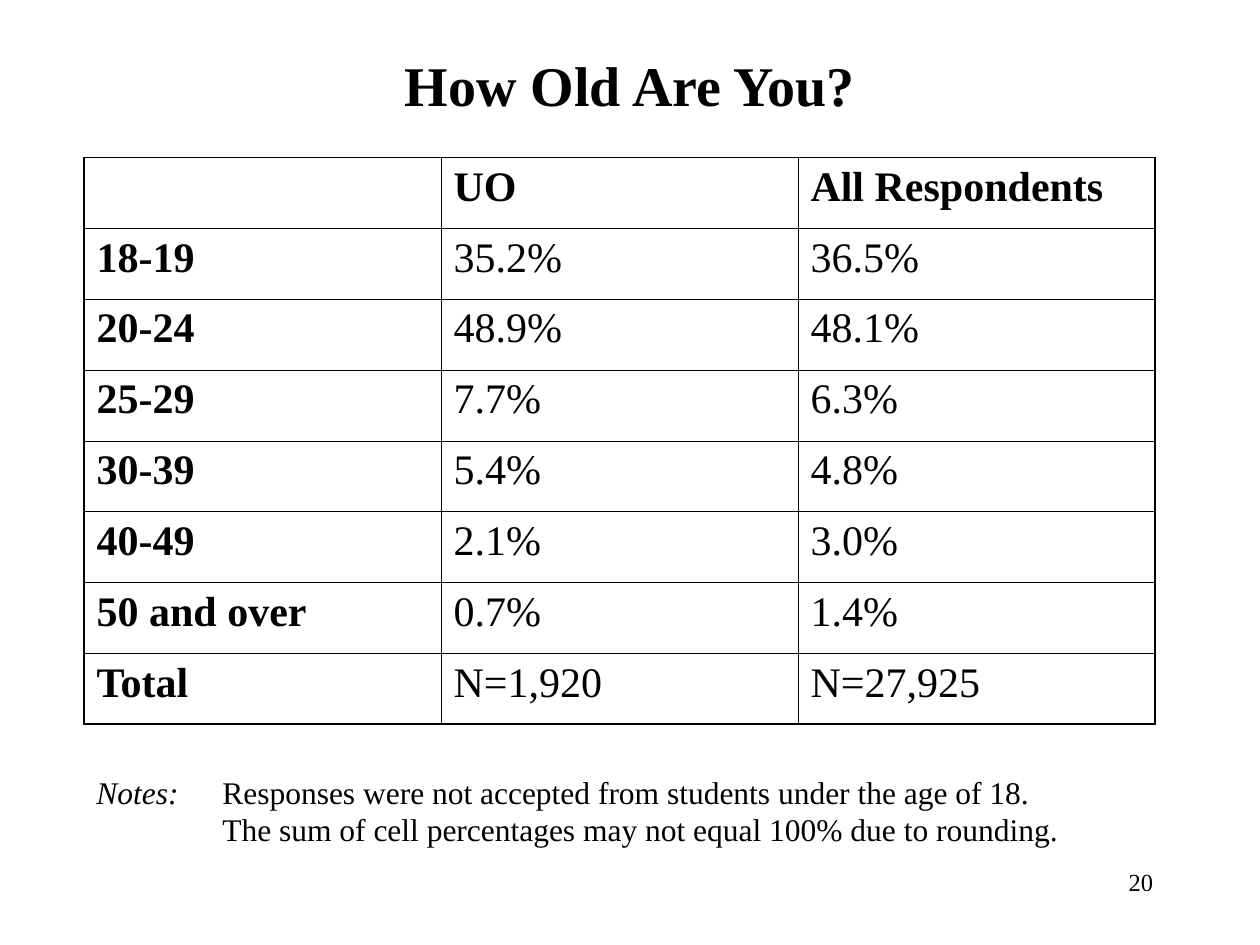
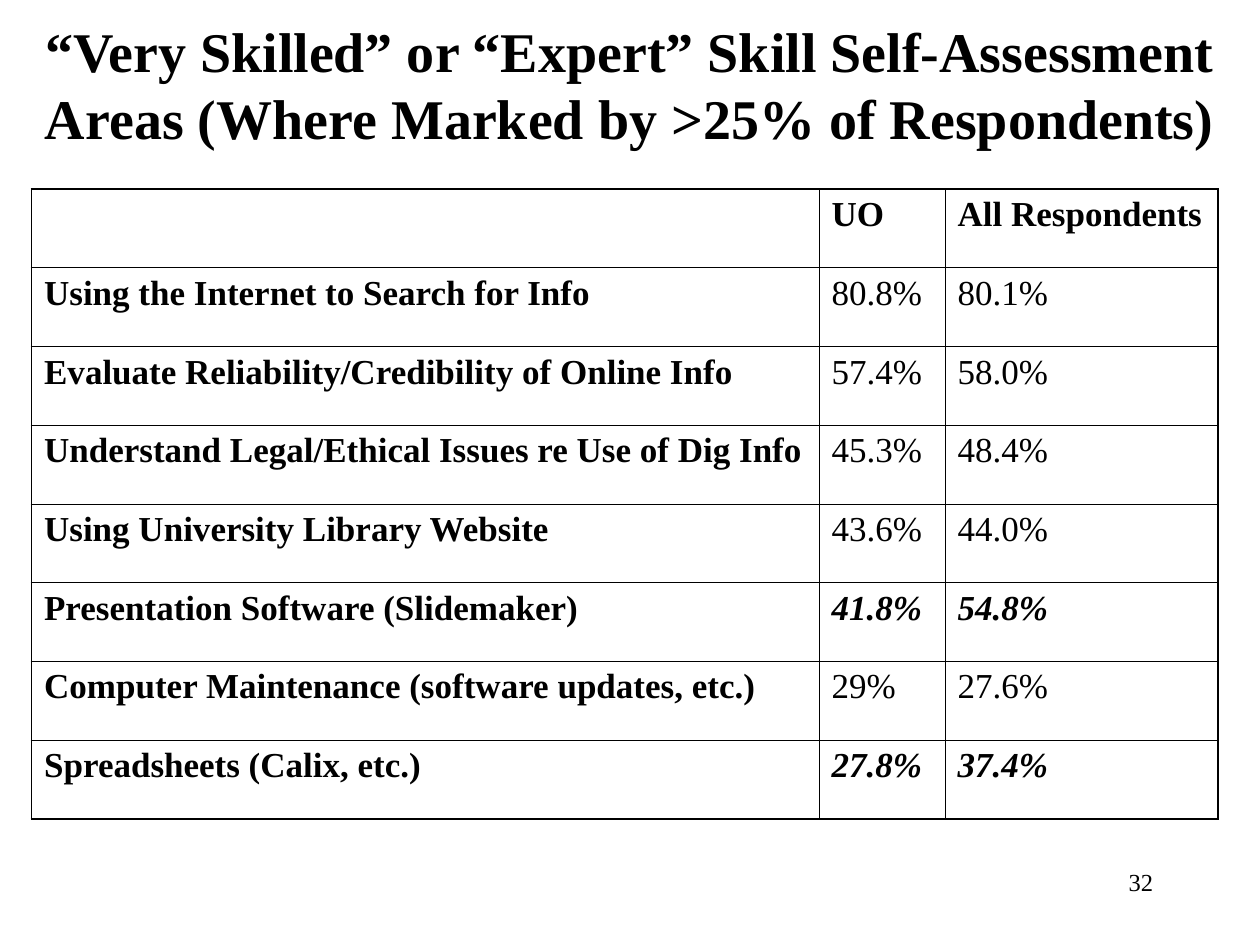
"""Build two survey slides, each with a title, a ruled table and a page number."""
from lxml.etree import SubElement
from pptx import Presentation
from pptx.dml.color import RGBColor
from pptx.enum.text import MSO_ANCHOR, MSO_AUTO_SIZE, PP_ALIGN
from pptx.oxml.ns import qn
from pptx.util import Inches, Pt

HUES = {"ink": "000000"}
FACE = "Times New Roman"
THICK, THIN = Pt(1.08), Pt(0.45)
UNIT = Inches(10) // 120

AGES = [
    ["", "UO", "All Respondents"],
    ["18-19", "35.2%", "36.5%"],
    ["20-24", "48.9%", "48.1%"],
    ["25-29", "7.7%", "6.3%"],
    ["30-39", "5.4%", "4.8%"],
    ["40-49", "2.1%", "3.0%"],
    ["50 and over", "0.7%", "1.4%"],
    ["Total", "N=1,920", "N=27,925"],
]
SKILLS = [
    ["", "UO", "All Respondents"],
    ["Using the Internet to Search for Info", "80.8%", "80.1%"],
    ["Evaluate Reliability/Credibility of Online Info", "57.4%", "58.0%"],
    ["Understand Legal/Ethical Issues re Use of Dig Info", "45.3%", "48.4%"],
    ["Using University Library Website", "43.6%", "44.0%"],
    ["Presentation Software (Slidemaker)", "41.8%", "54.8%"],
    ["Computer Maintenance (software updates, etc.)", "29%", "27.6%"],
    ["Spreadsheets (Calix, etc.)", "27.8%", "37.4%"],
]
PAGES = [
    {"title": "How Old Are You?", "head": (9, 2, 102, 12), "rows": AGES,
     "grid": (8, 15, 102, 54), "cols": (34, 34, 34), "size": 24,
     "stress": (), "page": "20",
     "note": ("Notes:\t", "Responses were not accepted from students under the age of 18."
              "\vThe sum of cell percentages may not equal 100% due to rounding.")},
    {"title": "“Very Skilled” or “Expert” Skill Self-Assessment\v"
              "Areas (Where Marked by >25% of Respondents)",
     "head": (2, 2, 116, 12), "rows": SKILLS,
     "grid": (3, 18, 113, 60), "cols": (75, 12, 26), "size": 20,
     "stress": (5, 7), "page": "32", "note": ()},
]


def span(*cells):
    """Turn grid units into slide lengths."""
    return [round(cell * UNIT) for cell in cells]


def style(font, size, **looks):
    """Apply the shared face and ink, then the given looks."""
    for key, val in {"name": FACE, "size": Pt(size), **looks}.items():
        setattr(font, key, val)
    font.color.rgb = RGBColor.from_string(HUES["ink"])


deck = Presentation()
deck.slide_width, deck.slide_height = span(120, 90)

for page in PAGES:
    slide = deck.slides.add_slide(deck.slide_layouts[5])
    title = slide.shapes.title
    for key, val in zip(("left", "top", "width", "height"), span(*page["head"])):
        setattr(title, key, val)
    frame = title.text_frame
    frame.text = page["title"]
    for key, val in {"word_wrap": True, "auto_size": MSO_AUTO_SIZE.NONE,
                     "vertical_anchor": MSO_ANCHOR.MIDDLE}.items():
        setattr(frame, key, val)
    frame.paragraphs[0].alignment = PP_ALIGN.CENTER
    for run in frame.paragraphs[0].runs:
        style(run.font, 32, bold=True)

    rows = page["rows"]
    last, edge = len(rows) - 1, len(page["cols"]) - 1
    table = slide.shapes.add_table(last + 1, edge + 1, *span(*page["grid"])).table
    table.first_row = table.horz_banding = False
    for col, wide in zip(table.columns, span(*page["cols"])):
        col.width = wide
    for r, row in enumerate(rows):
        table.rows[r].height = span(page["grid"][3] / len(rows))[0]
        for c, text in enumerate(row):
            cell = table.cell(r, c)
            cell.text = text
            stress = r in page["stress"] and c > 0
            style(cell.text_frame.paragraphs[0].font, page["size"],
                  bold=r == 0 or c == 0 or stress, italic=stress)
            props = cell._tc.get_or_add_tcPr()
            sides = {"L": c == 0, "R": c == edge, "T": r == 0, "B": r == last}
            for side, outer in sides.items():
                line = SubElement(props, qn(f"a:ln{side}"), w=str(THICK if outer else THIN))
                fill = SubElement(line, qn("a:solidFill"))
                SubElement(fill, qn("a:srgbClr"), val=HUES["ink"])
            cell.fill.background()

    if page["note"]:
        frame = slide.shapes.add_textbox(*span(8, 73, 106, 8.4)).text_frame
        frame.word_wrap = True
        para = frame.paragraphs[0]
        hang = para._p.get_or_add_pPr()
        hang.set("marL", str(Inches(1)))
        hang.set("indent", str(-Inches(1)))
        label, body = page["note"]
        para.text = body
        style(para.font, 18)
        for run in para.runs:
            style(run.font, 18)
        lead = para.add_run()
        lead.text = label
        style(lead.font, 18, italic=True)
        hang.addnext(lead._r)

    frame = slide.shapes.add_textbox(*span(86, 82, 25, 6)).text_frame
    frame.word_wrap = True
    para = frame.paragraphs[0]
    para.text, para.alignment = page["page"], PP_ALIGN.RIGHT
    style(para.runs[0].font, 14)

deck.save("out.pptx")
